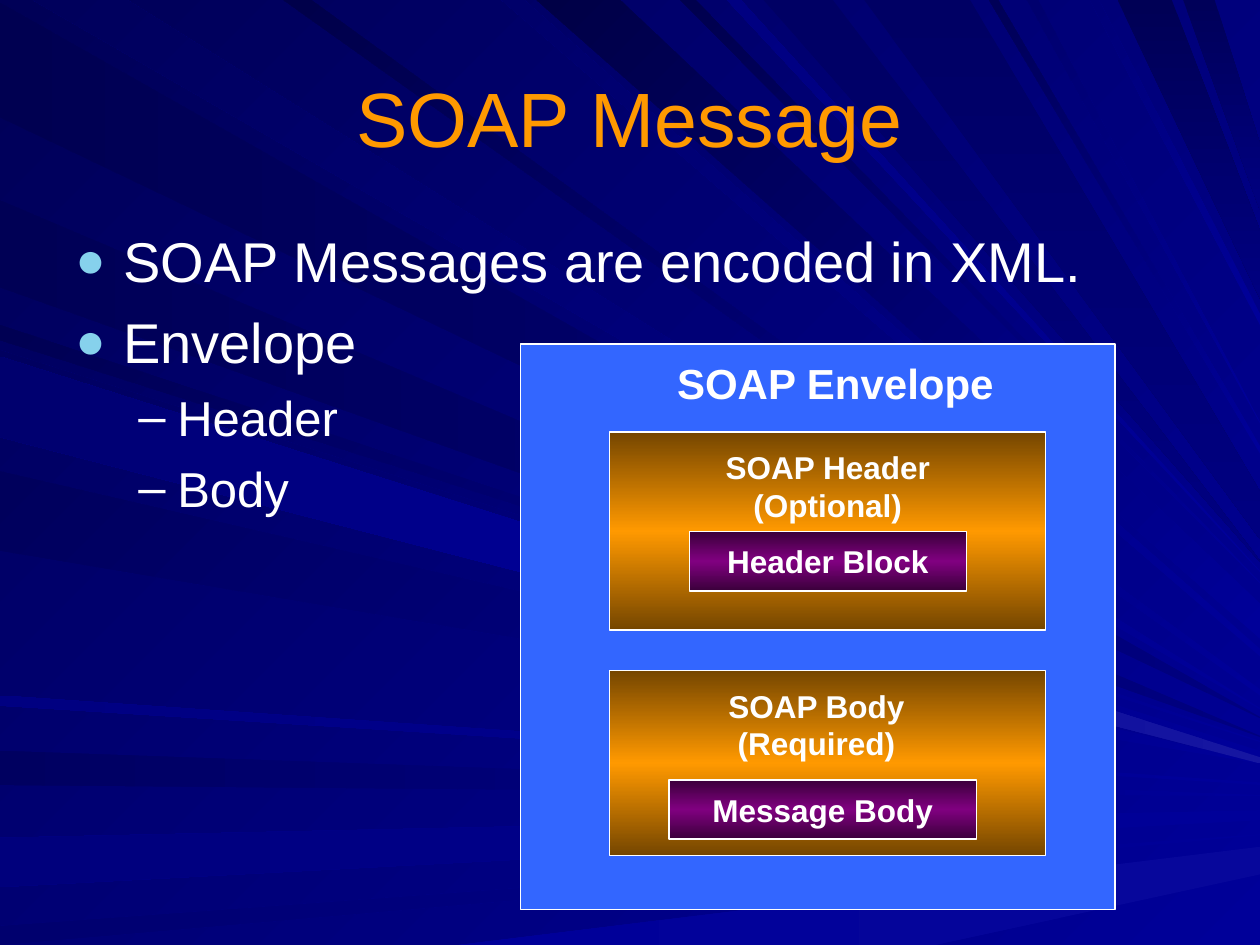
from copy import deepcopy

from lxml import etree
from pptx import Presentation
from pptx.dml.color import RGBColor
from pptx.enum.shapes import MSO_SHAPE
from pptx.enum.text import MSO_ANCHOR, PP_ALIGN
from pptx.oxml.ns import qn
from pptx.util import Inches, Pt

RECTANGLE = MSO_SHAPE.RECTANGLE
TOP, MIDDLE = MSO_ANCHOR.TOP, MSO_ANCHOR.MIDDLE
LEFT, CENTER = PP_ALIGN.LEFT, PP_ALIGN.CENTER

FONT = "Arial"
WHITE, ORANGE, BLUE, SKY = "FFFFFF", "FF9900", "3366FF", "86D1EC"
BRONZE = ("754600", ORANGE, "754600")
PURPLE = ("3B003B", "800080", "3B003B")
NAVY = "000099"

# Rays by starting edge and clockwise gradient angle.
# Each: colours, start and end on that edge, top and height on the right edge
RAYS = {
    ("left", 180): [
        ("000080 000051", 0.02, 0.93, 5.69, 0.01),
        ("000099 00007C", 6.65, 7.04, 6.43, 0.08),
        ("000099 000060", 5.96, 6.23, 6.31, 0.01),
        ("000099 00006E", 7.35, 7.5, 6.62, 0.01),
        ("000080 000055", 1.59, 2.28, 5.84, 0.01),
    ],
    ("bottom", 180): [("07079B 000099", 3.64, 7.42, 6.72, 0.22)],
    ("top", 225): [
        ("000099 00005C", 0.26, 1.01, 5.62, 0.01),
        ("000099 00006A", 3.98, 4.16, 5.15, 0.06),
        ("000099 000046", 4.26, 4.92, 4.79, 0.28),
        ("000099 00004E", 5.4, 5.52, 4.62, 0.01),
        ("000099 00004A", 2.25, 2.47, 5.47, 0.05),
        ("000099 000081", 5.77, 5.88, 4.53, 0.01),
        ("000099 000057", 7.85, 7.92, 3.54, 0.06),
        ("000099 00006E", 8.15, 8.24, 3.35, 0.01),
        ("000099 000078", 8.65, 8.72, 2.49, 0.09),
    ],
    ("top", 90): [
        ("000064 000080", 6.06, 6.61, 4.45, 0.01),
        ("000055 000080", 8.87, 9.3, 1.83, 0.54),
        ("000059 000080", 9.39, 9.64, 1.14, 0.53),
        ("000064 000080", 6.86, 7.7, 3.9, 0.38),
    ],
    ("left", 225): [
        ("000099 000053", 2.58, 2.7, 5.88, 0.01),
        ("000099 000060", 2.78, 3.42, 5.96, 0.06),
        ("000099 00005C", 3.74, 4.37, 6.05, 0.01),
    ],
    ("left", 180.0 + 360): [
        ("000099 000081", 5.52, 5.6, 6.21, 0.02),
        ("1616A1 000099 00006E", 2.83, 3.47, 6.01, 0.05),
    ],
}

# Section: top in the envelope, height, label lines and box, block text and box
SECTIONS = [
    (0.7, 1.57, ("SOAP Header", "(Optional)"), (0.82, 0.08, 1.82, 0.7),
     "Header Block", (0.63, 0.79, 2.2, 0.47)),
    (2.59, 1.47, ("SOAP Body", "(Required)"), (0.84, 0.08, 1.6, 0.7),
     "Message Body", (0.47, 0.87, 2.44, 0.47)),
]

# Outline levels: size, space before, margin, indent, bullet, bullet colour and size
LEVELS = [(32, 8, 0.38, -0.38, "●", SKY, 90), (28, 7, 0.81, -0.31, "–", WHITE, 100)]
OUTLINE = [("SOAP Messages are encoded in XML.", 0), ("Envelope", 0), ("Header", 1), ("Body", 1)]


def color(hex_code):
    return RGBColor.from_string(hex_code)


def paint(fill, element, colors, angle=90):
    """Fill with one colour, or an evenly spaced gradient at a clockwise angle."""
    if len(colors) == 1:
        fill.solid()
        fill.fore_color.rgb = color(colors[0])
        return
    fill.gradient()
    fill.gradient_angle = -angle % 360
    stop_list = element.find(".//" + qn("a:gsLst"))
    while len(stop_list) < len(colors):
        stop_list.append(deepcopy(stop_list[-1]))
    for i, (stop, hex_code) in enumerate(zip(fill.gradient_stops, colors)):
        stop.color.rgb = color(hex_code)
        stop.position = i / (len(colors) - 1)


def write(shape, lines, size, hex_code=WHITE, bold=False, wrap=False, anchor=TOP, align=CENTER):
    frame = shape.text_frame
    frame.word_wrap = wrap
    frame.vertical_anchor = anchor
    frame.text = "\n".join(lines)
    font_format = {"name": FONT, "size": Pt(size), "bold": bold}
    for paragraph in frame.paragraphs:
        paragraph.alignment = align
        font = paragraph.runs[0].font
        for attribute, value in font_format.items():
            setattr(font, attribute, value)
        font.color.rgb = color(hex_code)
    return frame


def add_text(slide, box, *args, **kwargs):
    return write(slide.shapes.add_textbox(*map(Inches, box)), *args, **kwargs)


def add_panel(slide, box, colors):
    panel = slide.shapes.add_shape(RECTANGLE, *map(Inches, box))
    panel.shadow.inherit = False
    paint(panel.fill, panel._element, colors)
    panel.line.color.rgb = color(WHITE)
    panel.line.width = Pt(0.75)
    return panel


def add_rays(slide, box):
    left, top, width, height = box
    for (edge, angle), rays in RAYS.items():
        for colors, start, end, tip, spread in rays:
            if edge == "left":
                base = [(0, end), (0, start)]
            elif edge == "top":
                base = [(start, 0), (end, 0)]
            else:
                base = [(end, height), (start, height)]
            corners = base + [(width, tip), (width, tip + spread)]
            points = [(Inches(left + x), Inches(top + y)) for x, y in corners]
            builder = slide.shapes.build_freeform(*points[0])
            builder.add_line_segments(points[1:], close=True)
            ray = builder.convert_to_shape()
            ray.shadow.inherit = False
            paint(ray.fill, ray._element, colors.split(), angle)
            ray.line.fill.background()


def add_outline(slide, box):
    frame = add_text(slide, box, [text for text, _ in OUTLINE], 32, wrap=True, align=LEFT)
    for paragraph, (_, level) in zip(frame.paragraphs, OUTLINE):
        size, before, margin, indent, bullet, bullet_color, percent = LEVELS[level]
        paragraph.level = level
        paragraph.space_before = Pt(before)
        paragraph.runs[0].font.size = Pt(size)
        # Bullet colour, size, font and character
        properties = paragraph._p.get_or_add_pPr()
        properties.set("marL", str(Inches(margin)))
        properties.set("indent", str(Inches(indent)))
        tint = etree.SubElement(properties, qn("a:buClr"))
        etree.SubElement(tint, qn("a:srgbClr"), val=bullet_color)
        etree.SubElement(properties, qn("a:buSzPct"), val=str(percent * 1000))
        etree.SubElement(properties, qn("a:buFont"), typeface=FONT)
        etree.SubElement(properties, qn("a:buChar"), char=bullet)


def add_section(slide, box, label, label_box, block_text, block_box):
    left, top = box[:2]

    def inside(part):
        return (left + part[0], top + part[1], *part[2:])

    add_panel(slide, box, BRONZE)
    block = add_panel(slide, inside(block_box), PURPLE)
    write(block, [block_text], 18, bold=True, anchor=MIDDLE)
    add_text(slide, inside(label_box), label, 18, bold=True)


def add_envelope(slide, box):
    left, top = box[:2]
    add_panel(slide, box, [BLUE])
    add_text(slide, (left + 1.14, top + 0.06, 2.72, 0.5), ["SOAP Envelope"], 24, bold=True)
    for offset, height, *parts in SECTIONS:
        add_section(slide, (left + 0.71, top + offset, 3.46, height), *parts)


def main():
    deck = Presentation()
    deck.slide_width, deck.slide_height = Inches(10), Inches(7.5)
    slide = deck.slides.add_slide(deck.slide_layouts[6])
    paint(slide.background.fill, slide._element, (NAVY, "000057"), 225)
    add_rays(slide, (0, 0, 10, 7.5))
    add_text(slide, (0.5, 0.3, 9, 1.25), ["SOAP Message"], 44, ORANGE, wrap=True, anchor=MIDDLE)
    add_outline(slide, (0.5, 1.75, 9, 4.95))
    add_envelope(slide, (4.13, 2.73, 4.72, 4.49))
    deck.save("out.pptx")


if __name__ == "__main__":
    main()
